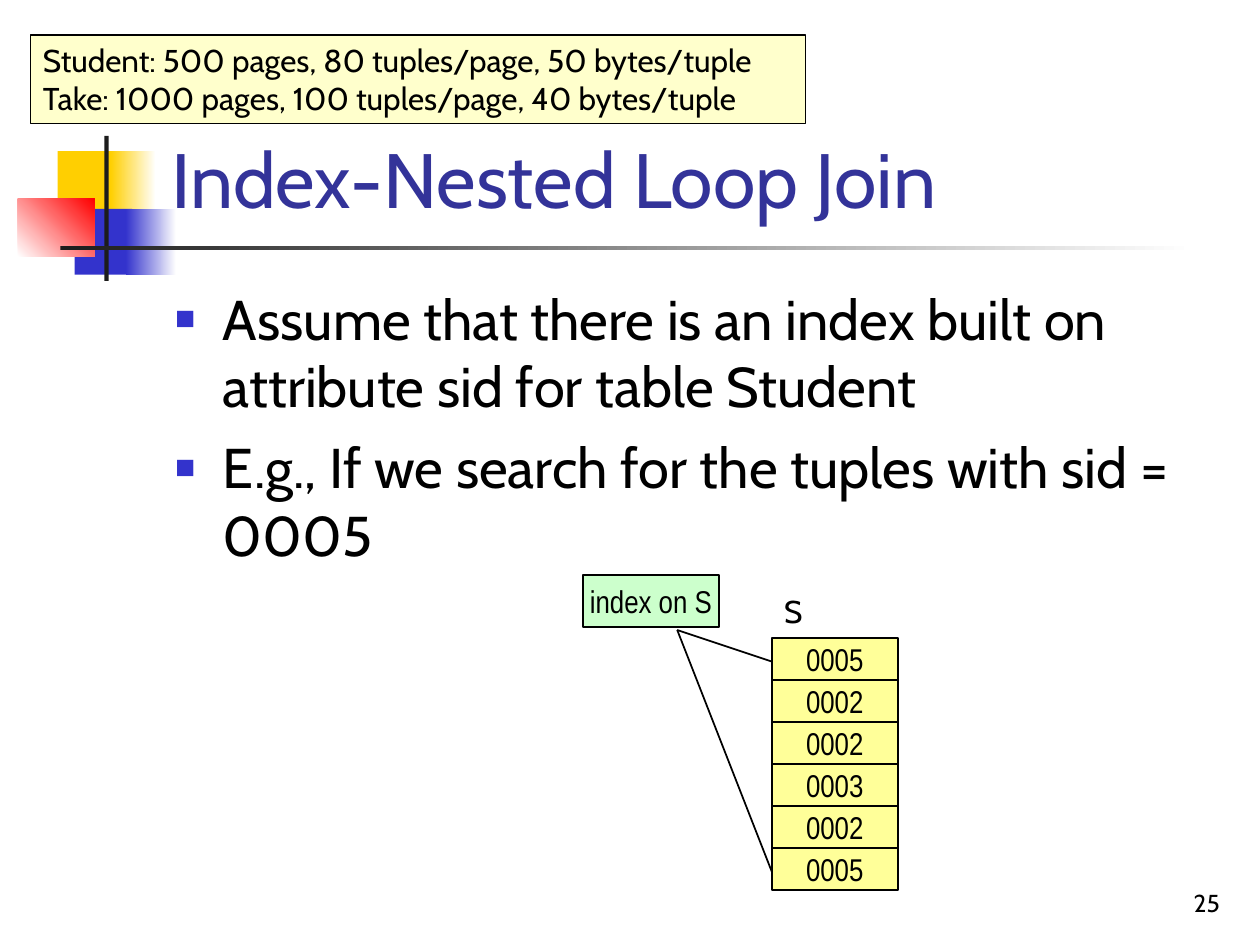
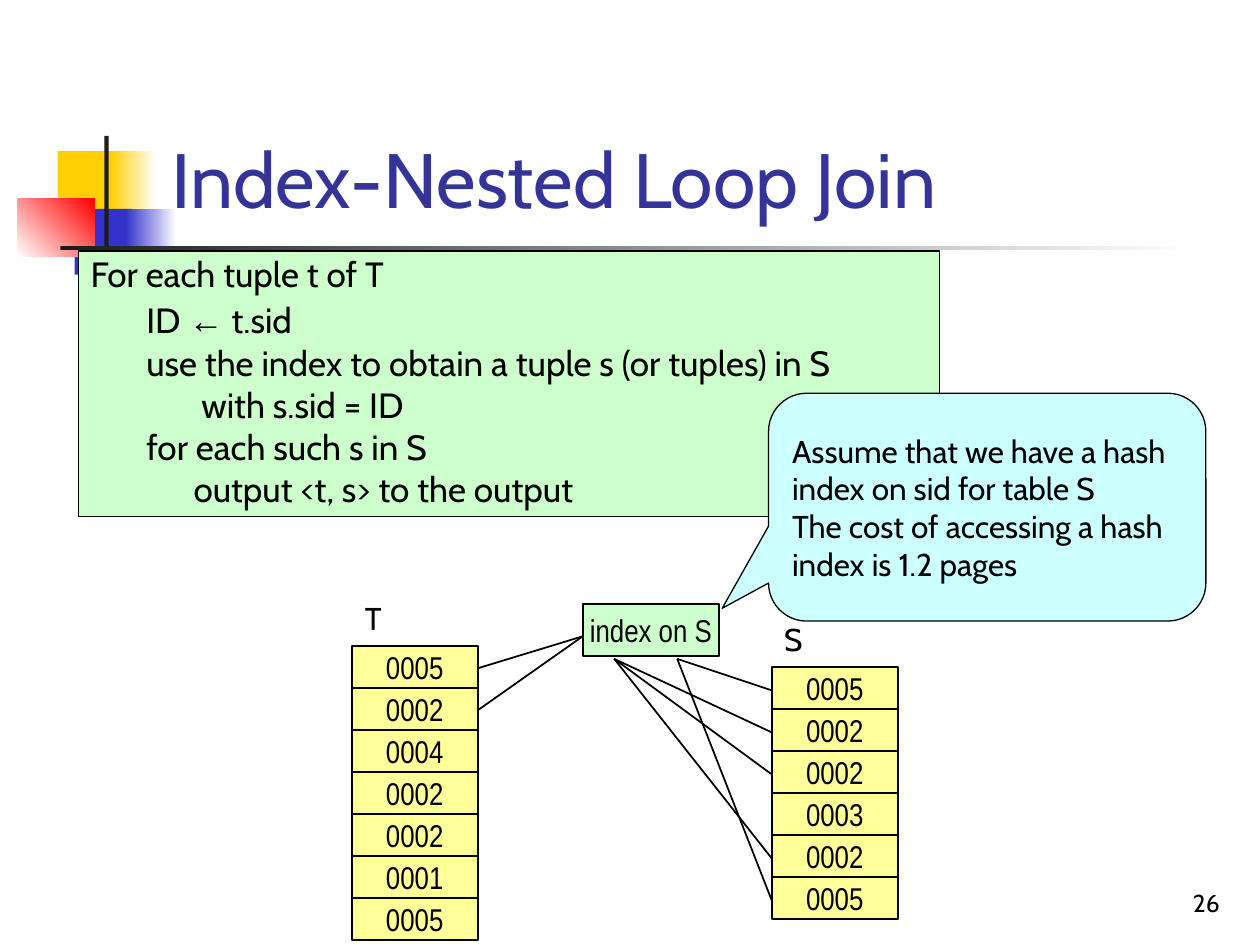
from lxml import etree
from pptx import Presentation
from pptx.dml.color import RGBColor
from pptx.enum.dml import MSO_FILL
from pptx.enum.shapes import MSO_CONNECTOR, MSO_SHAPE
from pptx.enum.text import MSO_ANCHOR, MSO_AUTO_SIZE, PP_ALIGN
from pptx.oxml.ns import qn
from pptx.util import Inches, Pt

RECT, CALLOUT = MSO_SHAPE.RECTANGLE, MSO_SHAPE.ROUNDED_RECTANGULAR_CALLOUT
STRAIGHT = MSO_CONNECTOR.STRAIGHT
LEFT, CENTER, RIGHT = PP_ALIGN.LEFT, PP_ALIGN.CENTER, PP_ALIGN.RIGHT
TOP, MIDDLE, BOTTOM = MSO_ANCHOR.TOP, MSO_ANCHOR.MIDDLE, MSO_ANCHOR.BOTTOM
GRADIENT = MSO_FILL.GRADIENT

BLACK = RGBColor(0x00, 0x00, 0x00)
WHITE = RGBColor(0xFF, 0xFF, 0xFF)
INK = RGBColor(0x1C, 0x1C, 0x1C)
NAVY = RGBColor(0x33, 0x33, 0x99)
BLUE = RGBColor(0x33, 0x33, 0xCC)
GOLD = RGBColor(0xFF, 0xCF, 0x01)
RED = RGBColor(0xFF, 0x00, 0x00)
CREAM = RGBColor(0xFF, 0xFF, 0xCC)
YELLOW = RGBColor(0xFF, 0xFF, 0x99)
GREEN = RGBColor(0xCC, 0xFF, 0xCC)
AQUA = RGBColor(0xCC, 0xFF, 0xFF)

FONT, NARROW, SYMBOL = "Cabin", "Arial Narrow", "Arial"

# Grid of 240 columns by 180 rows; every length below is in grid units
COLS, ROWS = 240, 180
WIDE, HIGH = Inches(10), Inches(7.5)
CELL_W, CELL_H = 24, 8
S_KEYS = ["0005", "0002", "0002", "0003", "0002", "0005"]
T_KEYS = ["0005", "0002", "0004", "0002", "0002", "0001", "0005"]
S_COL, T_COL, HUB_COL = 147, 67, 111


def col(n):
    return round(n * WIDE / COLS)


def row(n):
    return round(n * HIGH / ROWS)


def frame(box):
    x, y, w, h = box
    return col(x), row(y), col(w), row(h)


def style(para, size, color=BLACK, name=FONT, align=LEFT):
    para.alignment = align
    para.font.size, para.font.name = Pt(size), name
    para.font.color.rgb = color


def write(shape, lines, size, name=FONT, align=LEFT, anchor=TOP, wrap=True):
    text = shape.text_frame
    text.text = "\n".join(lines)
    text.word_wrap, text.vertical_anchor = wrap, anchor
    for para in text.paragraphs:
        style(para, size, name=name, align=align)
    return text.paragraphs


def panel(slide, box, fill, line=None, kind=RECT):
    shape = slide.shapes.add_shape(kind, *frame(box))
    shape.shadow.inherit = False
    shape.fill.solid()
    shape.fill.fore_color.rgb = fill
    if line:
        shape.line.color.rgb, shape.line.width = BLACK, Pt(line)
    else:
        shape.line.fill.background()
    return shape


def label(slide, box, lines, size, **look):
    return write(slide.shapes.add_textbox(*frame(box)), lines, size, **look)


def link(slide, x1, y1, x2, y2):
    line = slide.shapes.add_connector(STRAIGHT, col(x1), row(y1), col(x2), row(y2))
    line.line.color.rgb, line.line.width = BLACK, Pt(1)
    etree.SubElement(line.element.spPr, qn("a:effectLst"))


# Shared decoration, moved from the slide to its layout
def motif(slide):
    parts = [
        ((11, 28.8, 11.5, 12.5), GOLD, None, 0),
        ((21.1, 28.8, 8.6, 12.5), GOLD, WHITE, 0),
        ((14.2, 39.8, 11, 12.5), BLUE, None, 0),
        ((24, 39.8, 9.6, 12.5), BLUE, WHITE, 0),
        ((3.4, 37.9, 14.6, 11), WHITE, RED, 45),
        ((19.9, 25.9, 0.8, 27.6), INK, None, 0),
        ((11.5, 46.8, 216, 0.8), INK, WHITE, 0),
    ]
    tree = slide.slide_layout.shapes.element
    for box, start, end, angle in parts:
        shape = panel(slide, box, start)
        if end is not None:
            fill = shape.fill
            fill.gradient()
            fill.gradient_angle = angle
            for stop, color, spot in zip(fill.gradient_stops, (start, end), (0, 1)):
                stop.color.rgb, stop.position = color, spot
        tree.append(shape.element)


# Slide with title and page number
def page(deck, number):
    slide = deck.slides.add_slide(deck.slide_layouts[5])
    title = slide.shapes.title
    title.left, title.top, title.width, title.height = frame((30.2, 5.5, 204.5, 38.4))
    text = title.text_frame
    text.text = "Index-Nested Loop Join"
    text.vertical_anchor, text.auto_size = BOTTOM, MSO_AUTO_SIZE.NONE
    style(text.paragraphs[0], 44, NAVY)
    label(slide, (184.8, 163.9, 49.9, 12), [str(number)], 14, align=RIGHT, anchor=BOTTOM)
    return slide


# Relation: a name above a stack of keys
def stack(slide, x, y, name, keys):
    label(slide, (x, y - 10, 8.2, 9.6), [name], 18, align=CENTER, wrap=False)
    for i, key in enumerate(keys):
        cell = panel(slide, (x, y + i * CELL_H, CELL_W, CELL_H), YELLOW, 1)
        write(cell, [key], 18, NARROW, CENTER, MIDDLE, False)


# Relation S with its index; links map a column on the index to rows of S
def lookup(slide, y, links):
    stack(slide, S_COL, y, "S", S_KEYS)
    hub = panel(slide, (HUB_COL, y - 12, 26, 10), GREEN, 1)
    write(hub, ["index on S"], 18, NARROW, CENTER, MIDDLE, False)
    for x, hits in links.items():
        for i in hits:
            link(slide, x, y - 1.5, S_COL, y + 4.5 + i * CELL_H)


def bullets(slide, box, lines):
    for para in label(slide, box, lines, 32):
        para.space_before = Pt(8)
        props = para._p.get_or_add_pPr()
        props.set("marL", str(Inches(0.38)))
        props.set("indent", str(-Inches(0.38)))
        marks = [etree.Element(qn("a:buClr")),
                 etree.Element(qn("a:buSzPct"), val="60000"),
                 etree.Element(qn("a:buFont"), typeface=SYMBOL),
                 etree.Element(qn("a:buChar"), char="■")]
        etree.SubElement(marks[0], qn("a:srgbClr"), val=str(BLUE))
        fonts = props.find(qn("a:defRPr"))
        for mark in marks:
            fonts.addprevious(mark)


# Pseudocode, each line with its indent in columns
def code(slide, box):
    steps = [
        (0, "For each tuple t of T"),
        (10.6, "ID "),
        (10.6, "use the index to obtain a tuple s (or tuples) in S"),
        (21.1, "with s.sid = ID"),
        (10.6, "for each such s in S"),
        (19.6, "output <t, s> to the output"),
    ]
    paras = write(panel(slide, box, GREEN, 0.75), [line for _, line in steps], 20)
    for para, (indent, _) in zip(paras, steps):
        para._p.get_or_add_pPr().set("marL", str(col(indent)))
    for para in paras[:2]:
        para.line_spacing, para.space_before = 0.9, Pt(5)
    arrow = paras[1].add_run()
    arrow.text, arrow.font.name = "←", SYMBOL
    paras[1].add_run().text = " t.sid"


def remark(slide, box):
    bubble = panel(slide, box, AQUA, 0.75, CALLOUT)
    for i, value in enumerate((-0.606, 0.444, 0.167)):
        bubble.adjustments[i] = value
    write(bubble, ["Assume that we have a hash index on sid for table S",
                   "The cost of accessing a hash index is 1.2 pages"], 18, anchor=MIDDLE)


def search(deck):
    slide = page(deck, 25)
    motif(slide)
    bullets(slide, (31, 53, 204, 108), [
        "Assume that there is an index built on attribute sid for table Student",
        "E.g., If we search for the tuples with sid = 0005"])
    sizes = panel(slide, (5.8, 6.7, 147.6, 16.8), CREAM, 0.75)
    write(sizes, ["Student: 500 pages, 80 tuples/page, 50 bytes/tuple",
                  "Take: 1000 pages, 100 tuples/page, 40 bytes/tuple"], 18)
    lookup(slide, 121.5, {129: (0, 5)})


def join(deck):
    slide = page(deck, 26)
    t_top, s_top = 123, 127
    stack(slide, T_COL, t_top, "T", T_KEYS)
    lookup(slide, s_top, {129: (0, 5), 117: (1, 2, 4)})
    for i in range(2):
        link(slide, T_COL + CELL_W, t_top + 4.3 + i * CELL_H, HUB_COL, s_top - 5.8)
    code(slide, (14.9, 47.8, 164, 50.6))
    remark(slide, (146.4, 74.9, 83.3, 43.4))


def main():
    deck = Presentation()
    deck.slide_width, deck.slide_height = WIDE, HIGH
    search(deck)
    join(deck)
    deck.save("out.pptx")


if __name__ == "__main__":
    main()
